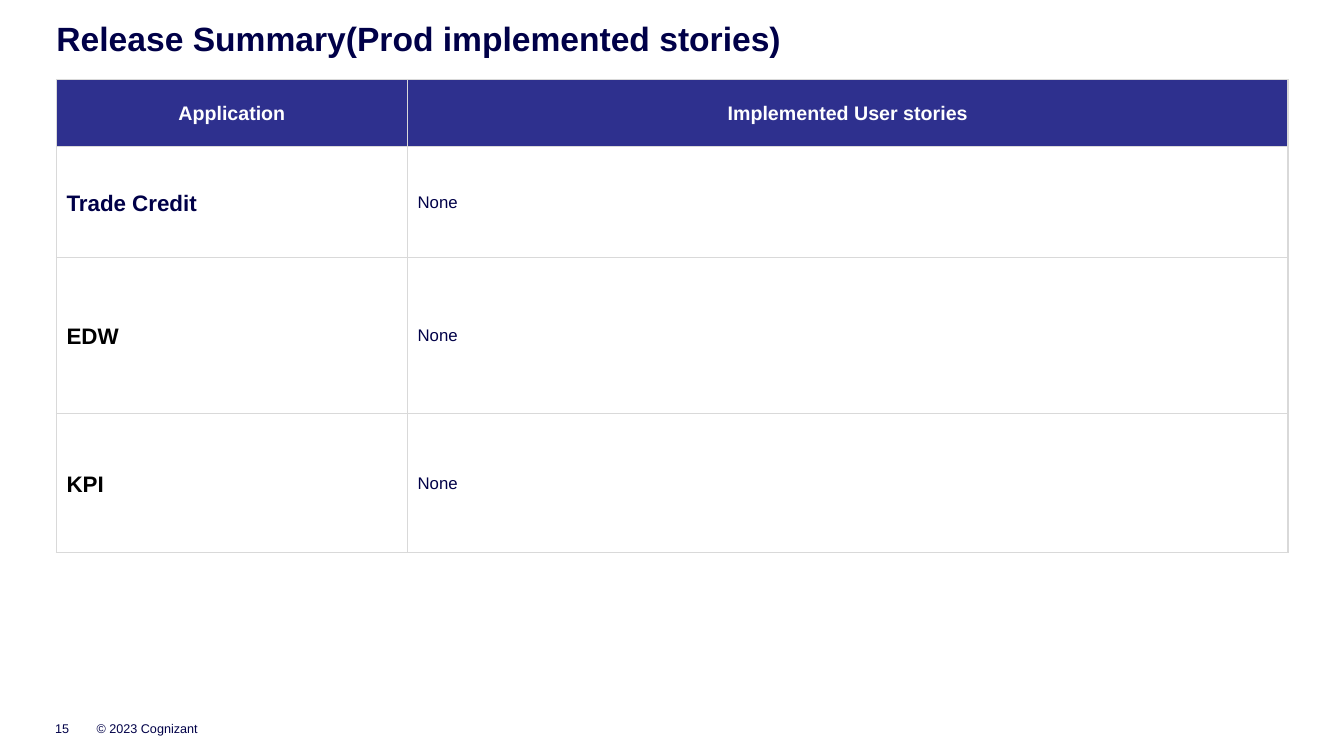
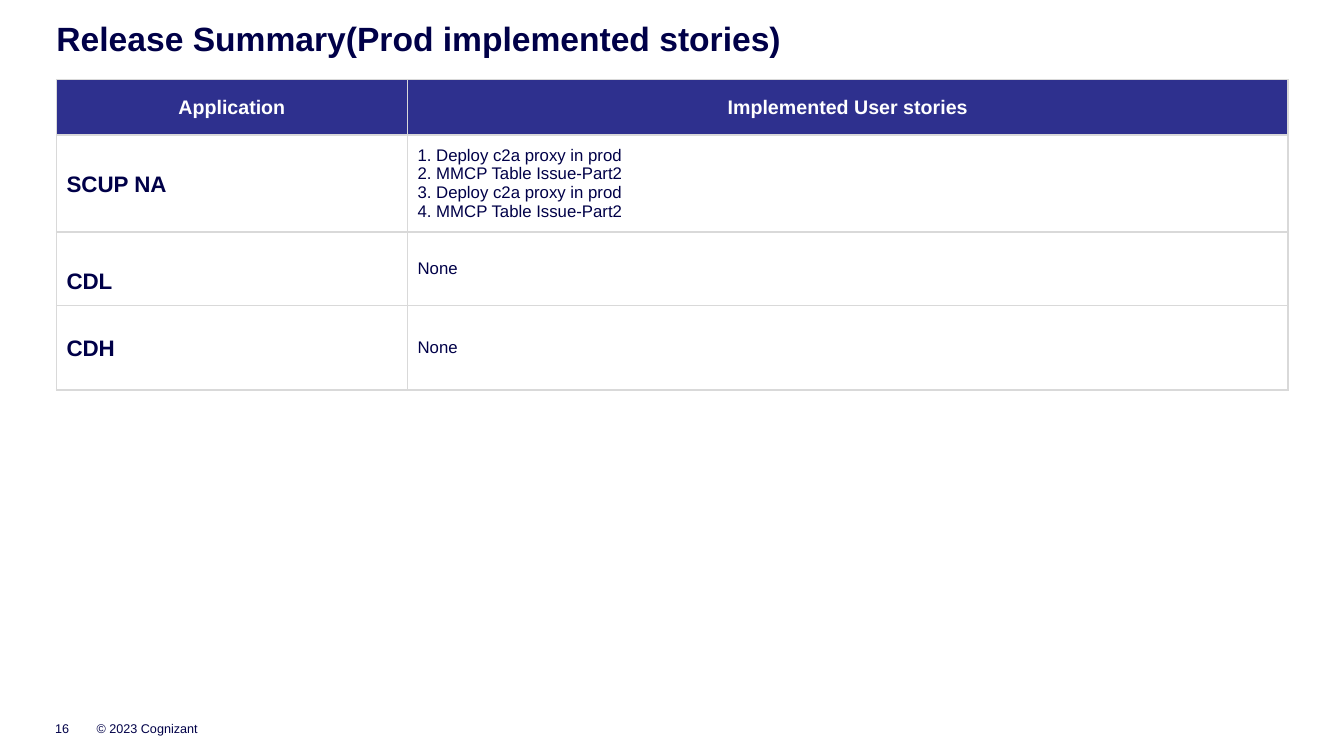
from lxml import etree
from pptx import Presentation
from pptx.dml.color import RGBColor
from pptx.enum.text import MSO_ANCHOR, MSO_AUTO_SIZE, PP_ALIGN
from pptx.oxml import parse_xml
from pptx.oxml.ns import nsdecls, qn
from pptx.util import Pt

MID = MSO_ANCHOR.MIDDLE
FIXED = MSO_AUTO_SIZE.NONE
LEFT, CENTER = PP_ALIGN.LEFT, PP_ALIGN.CENTER
COLORS = {"navy": "000048", "head": "2E308E", "white": "FFFFFF",
          "black": "000000", "grid": "D9D9D9"}
EDGE, WIDE = 40.3, 879.8
COLS = [250.8, 629]
FIRST = 15
HEADS = ["Application", "Implemented User stories"]
NONE = ["None"]
SLIDES = [
    (48, [("Trade Credit", "navy", NONE, 79.2, 0),
          ("EDW", "black", NONE, 111.5, 0),
          ("KPI", "black", NONE, 99.3, 0)]),
    (39.5, [("SCUP NA", "navy", ["1. Deploy c2a proxy in prod",
                                 "2. MMCP Table Issue-Part2",
                                 "3. Deploy c2a proxy in prod",
                                 "4. MMCP Table Issue-Part2"], 69.3, 0),
            ("CDL", "navy", NONE, 52.5, 17.6),
            ("CDH", "navy", NONE, 60.4, 0)]),
]


def style(para, size, color, bold=False, align=LEFT):
    para.alignment = align
    font = para.font
    font.name, font.size, font.bold = "Arial", Pt(size), bold
    font.color.rgb = RGBColor.from_string(COLORS[color])


def write(cell, lines, size, color, bold=False, align=LEFT, fill=None):
    props = cell._tc.get_or_add_tcPr()
    for side in ("lnL", "lnR", "lnT", "lnB"):
        props.append(parse_xml(
            f'<a:{side} {nsdecls("a")} w="{Pt(0.96)}"><a:solidFill>'
            f'<a:srgbClr val="{COLORS["grid"]}"/></a:solidFill></a:{side}>'))
    if fill:
        cell.fill.solid()
        cell.fill.fore_color.rgb = RGBColor.from_string(COLORS[fill])
    else:
        cell.fill.background()
    cell.vertical_anchor = MID
    cell.text = "\n".join(lines)
    for para in cell.text_frame.paragraphs:
        style(para, size, color, bold, align)


prs = Presentation()
prs.slide_width, prs.slide_height = Pt(960), Pt(540)
prs.element.set("firstSlideNum", str(FIRST))

for page, (top, rows) in enumerate(SLIDES, FIRST):
    slide = prs.slides.add_slide(prs.slide_layouts[5])
    title = slide.shapes.title
    title.left, title.top = Pt(EDGE), Pt(11.5)
    title.width, title.height = Pt(WIDE), Pt(31)
    frame = title.text_frame
    frame.margin_left = frame.margin_right = 0
    frame.margin_top = frame.margin_bottom = 0
    frame.auto_size, frame.vertical_anchor = FIXED, MID
    frame.text = "Release Summary(Prod implemented stories)"
    style(frame.paragraphs[0], 24, "navy", True)

    highs = [top] + [row[3] for row in rows]
    table = slide.shapes.add_table(len(highs), len(COLS), Pt(EDGE), Pt(56.9),
                                   Pt(WIDE), Pt(sum(highs))).table
    table.first_row = table.horz_banding = False
    for col, width in zip(table.columns, COLS):
        col.width = Pt(width)
    for row, high in zip(table.rows, highs):
        row.height = Pt(high)
    for cell, head in zip(table.rows[0].cells, HEADS):
        write(cell, [head], 14, "white", True, CENTER, "head")
    for num, (app, color, tales, high, drop) in enumerate(rows, 1):
        name = table.cell(num, 0)
        write(name, [app], 16, color, True)
        name.text_frame.paragraphs[0].line_spacing = 1.1
        name.margin_top = Pt(3.6 + drop)
        write(table.cell(num, 1), tales, 12, "navy")

    for left, width, text in [(61.9, 96, "© 2023 Cognizant"), (32.4, 31, None)]:
        box = slide.shapes.add_textbox(Pt(left), Pt(513), Pt(width), Pt(14))
        frame = box.text_frame
        frame.word_wrap, frame.vertical_anchor = True, MID
        para = frame.paragraphs[0]
        style(para, 9, "navy")
        if text:
            para.add_run().text = text
        else:
            field = etree.SubElement(para._p, qn("a:fld"), type="slidenum",
                                     id="{B6F15528-21DE-4FAA-801E-634DDDAF4B2B}")
            etree.SubElement(field, qn("a:rPr"), lang="en-US")
            etree.SubElement(field, qn("a:t")).text = str(page)

prs.save("out.pptx")
